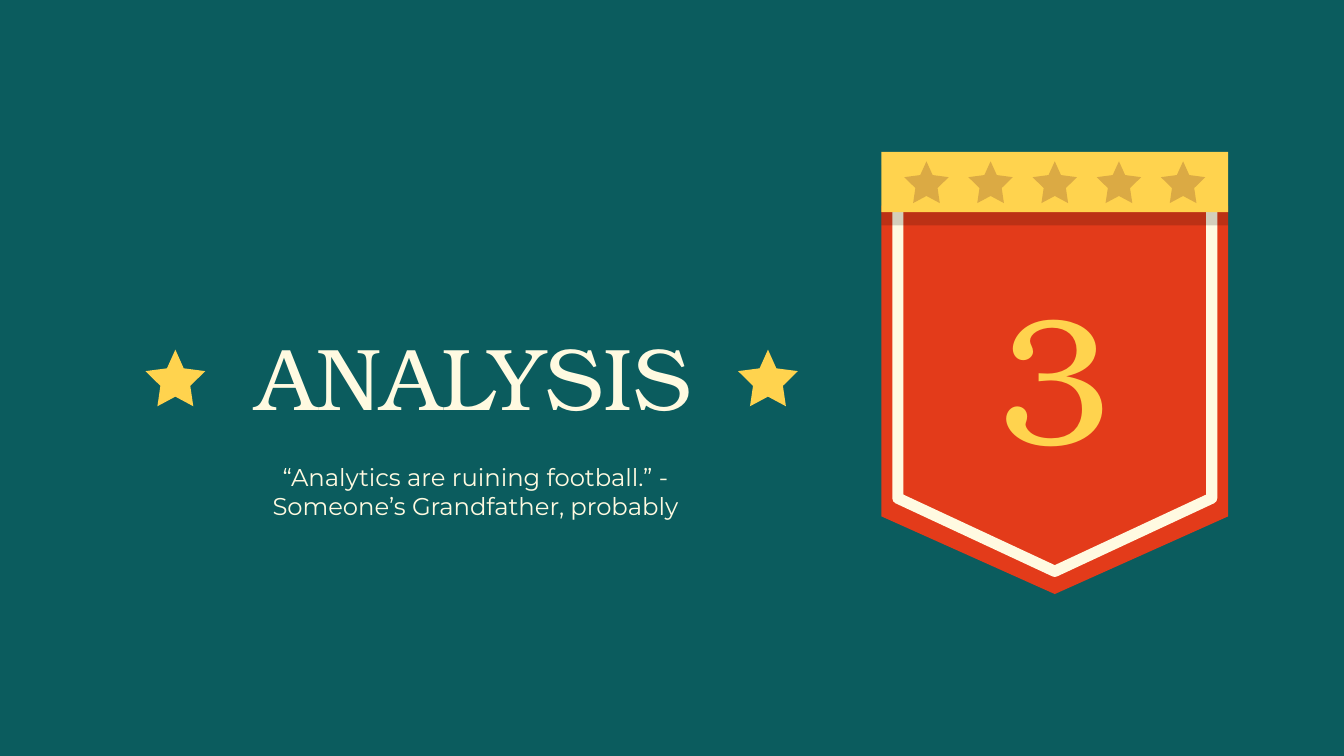
from lxml import etree
from pptx import Presentation
from pptx.dml.color import RGBColor
from pptx.enum import shapes, text
from pptx.oxml import ns
from pptx.util import Cm, Pt

COLORS = {
    "teal": "0B5C5E",
    "red": "E33B1A",
    "cream": "FFFAE1",
    "yellow": "FFD34E",
    "ochre": "DBAA44",
    "black": "000000",
}
SERIF, SANS = "TeX Gyre Bonum", "Montserrat"
PENNANT = shapes.MSO_SHAPE.FLOWCHART_OFFPAGE_CONNECTOR
RECTANGLE = shapes.MSO_SHAPE.RECTANGLE

# Star outline as fractions of its width and height
STAR = [(0.5, 0), (0.36, 0.33), (0, 0.38), (0.25, 0.64), (0.2, 1),
        (0.5, 0.83), (0.8, 1), (0.75, 0.64), (1, 0.38), (0.64, 0.33)]


def color(name):
    return RGBColor.from_string(COLORS[name])


def paint(shape, fill):
    shape.shadow.inherit = False
    shape.fill.solid()
    shape.fill.fore_color.rgb = color(fill)
    shape.line.fill.background()


def add_block(group, kind, left, top, width, height, fill):
    block = group.shapes.add_shape(kind, Cm(left), Cm(top), Cm(width), Cm(height))
    paint(block, fill)
    return block


def add_star(group, left, top, width, height, fill):
    points = [(Cm(left + x * width), Cm(top + y * height)) for x, y in STAR]
    builder = group.shapes.build_freeform(*points[0])
    builder.add_line_segments(points[1:], close=True)
    paint(builder.convert_to_shape(), fill)


def write(box, left, top, width, height, words, font, size, fill,
          anchor=text.MSO_ANCHOR.MIDDLE):
    box.left, box.top, box.width, box.height = Cm(left), Cm(top), Cm(width), Cm(height)
    frame = box.text_frame
    frame.text = words
    frame.word_wrap = True
    frame.auto_size = text.MSO_AUTO_SIZE.NONE
    frame.vertical_anchor = anchor
    frame.margin_left = frame.margin_right = Cm(0.1)
    frame.margin_top = frame.margin_bottom = Cm(0.1)
    para = frame.paragraphs[0]
    para.alignment = text.PP_ALIGN.CENTER
    para.space_before = Pt(0)
    para.font.name = font
    para.font.size = Pt(size)
    para.font.color.rgb = color(fill)


def add_badge(page, left, top, width, height, number):
    badge = page.shapes.add_group_shape()
    band_height, inset = 1.14, 0.31
    pennant_top = top + 1.02

    # Pennant with its inner border
    add_block(badge, PENNANT, left, pennant_top, width, height - 1.02, "red")
    border = add_block(badge, PENNANT, left + inset, pennant_top,
                       width - 2 * inset, 6.91, "cream")
    border.fill.background()
    border.line.color.rgb = color("cream")
    border.line.width = Pt(6)
    etree.SubElement(border.line._get_or_add_ln(), ns.qn("a:round"))

    # Translucent shade below the band
    shade = add_block(badge, RECTANGLE, left, top + 0.25, width, band_height, "black")
    tint = shade.fill._xPr.find(ns.qn("a:solidFill"))[0]
    etree.SubElement(tint, ns.qn("a:alpha"), val="17000")

    # Band with five evenly spaced stars
    add_block(badge, RECTANGLE, left, top, width, band_height, "yellow")
    star_width, margin, count = 0.84, 0.43, 5
    pitch = (width - 2 * margin - star_width) / (count - 1)
    for i in range(count):
        add_star(badge, left + margin + i * pitch, top + 0.18, star_width, 0.79, "ochre")

    # Section number
    box = page.shapes.add_textbox(0, 0, 0, 0)
    write(box, left + inset, top + 2.16, width - 2 * inset, 4.04,
          number, SERIF, 96, "yellow")


def add_heading(page, left, top, width, height, title, subtitle):
    # Title and the quotation below it
    write(page.shapes.title, left, top, width, height, title, SERIF, 47, "cream")
    write(page.placeholders[1], left + 2.52, top + 2.59, width - 5, 1.42,
          subtitle, SANS, 13, "cream", text.MSO_ANCHOR.TOP)

    # Stars on either side of the title
    pair = page.shapes.add_group_shape()
    star_width = 1.13
    for star_left in (left + 0.57, left + width - 0.66 - star_width):
        add_star(pair, star_left, top + 0.56, star_width, 1.07, "yellow")


def main():
    deck = Presentation()
    deck.slide_width, deck.slide_height = Cm(25.4), Cm(14.29)
    page = deck.slides.add_slide(deck.slide_layouts[0])
    page.background.fill.solid()
    page.background.fill.fore_color.rgb = color("teal")

    add_badge(page, 16.66, 2.87, 6.55, 8.36, "3")
    add_heading(page, 2.18, 6.05, 13.56, 2.11, "ANALYSIS",
                "“Analytics are ruining football.” - Someone’s Grandfather, probably")
    deck.save("out.pptx")


if __name__ == "__main__":
    main()
